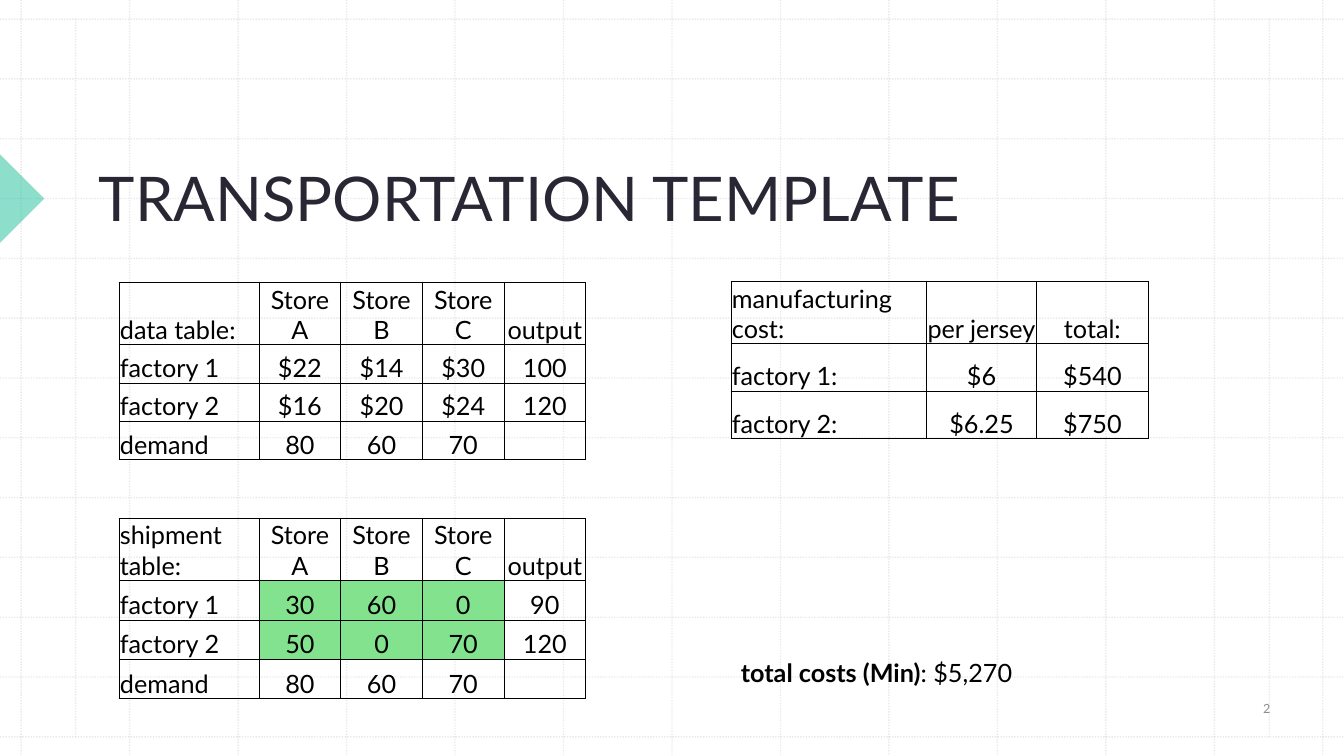
from dataclasses import dataclass

from lxml.etree import SubElement
from pptx import Presentation
from pptx.dml.color import RGBColor as RGB
from pptx.enum.dml import MSO_LINE
from pptx.enum.shapes import MSO_CONNECTOR as Connector, MSO_SHAPE as Shape
from pptx.enum.text import MSO_ANCHOR as Anchor, PP_ALIGN as Align
from pptx.oxml.ns import qn
from pptx.util import Inches, Pt


@dataclass(frozen=True)
class Theme:
    font: str = "Lato"
    title: str = "2A2735"
    ink: str = "000000"
    muted: str = "8C8C8C"
    grid: str = "BCBCBC"
    accent: str = "1EBE9B"
    decision: str = "83E28E"
    title_size: int = 44
    body_size: int = 18
    number_size: int = 9
    grid_width: float = 1
    border_width: float = 0.5


THEME = Theme()
WIDTH, HEIGHT = 13.33, 7.5
STORES = ["Store A", "Store B", "Store C", "output"]
DEMAND = ["demand", "80", "60", "70", ""]
STORE_COLUMNS = [1.39] + [0.81] * 4
HEADER_HEIGHT = 0.62


def set_all(target, values):
    for name, value in values.items():
        setattr(target, name, value)


def set_alpha(fill_parent, percent):
    color = next(fill_parent.iter(qn("a:srgbClr")))
    SubElement(color, qn("a:alpha"), val=str(percent * 1000))


def add_run(paragraph, text, size, color, bold=False):
    run = paragraph.add_run()
    run.text = text
    set_all(run.font, {"name": THEME.font, "size": Pt(size), "bold": bold})
    run.font.color.rgb = RGB.from_string(color)


def add_label(slide, box, parts, size, color, align=Align.LEFT, **frame_format):
    frame = slide.shapes.add_textbox(*map(Inches, box)).text_frame
    set_all(frame, {"word_wrap": True, **frame_format})
    paragraph = frame.paragraphs[0]
    paragraph.alignment = align
    for text, bold in parts:
        add_run(paragraph, text, size, color, bold)


def add_grid_line(slide, *ends):
    line = slide.shapes.add_connector(Connector.STRAIGHT, *map(Inches, ends))
    line.line.color.rgb = RGB.from_string(THEME.grid)
    set_all(line.line, {"width": Pt(THEME.grid_width), "dash_style": MSO_LINE.ROUND_DOT})
    properties = line._element.spPr
    set_alpha(properties, 30)
    SubElement(properties, qn("a:effectLst"))


def add_background(slide, left, top, right, bottom, steps=12):
    # Evenly spaced dotted grid
    for step in range(steps + 1):
        x = left + (right - left) * step / steps
        y = top + (bottom - top) * step / steps
        add_grid_line(slide, x, 0, x, HEIGHT)
        add_grid_line(slide, 0, y, WIDTH, y)
    # Margin guides
    for x in (0.75, 12.59):
        add_grid_line(slide, x, top, x, bottom)


def add_edge_marker(slide, center_y, side):
    # The long side of the triangle lies on the slide's left edge
    box = (-side / 2, center_y - side / 2, side, side)
    marker = slide.shapes.add_shape(Shape.RIGHT_TRIANGLE, *map(Inches, box))
    marker.rotation = 225
    marker.shadow.inherit = False
    marker.fill.solid()
    marker.fill.fore_color.rgb = RGB.from_string(THEME.accent)
    set_alpha(marker._element.spPr, 50)
    marker.line.fill.background()


def add_borders(cell):
    properties = cell._tc.get_or_add_tcPr()
    for side in ("lnL", "lnR", "lnT", "lnB"):
        line = SubElement(properties, qn(f"a:{side}"), w=str(Pt(THEME.border_width)))
        SubElement(SubElement(line, qn("a:solidFill")), qn("a:srgbClr"), val=THEME.ink)


def add_data_table(slide, left, top, columns, row_height, rows, decisions=()):
    height = HEADER_HEIGHT + row_height * (len(rows) - 1)
    box = map(Inches, (left, top, sum(columns), height))
    table = slide.shapes.add_table(len(rows), len(columns), *box).table
    set_all(table, {"first_row": False, "horz_banding": False})
    for column, width in zip(table.columns, columns):
        column.width = Inches(width)

    for r, values in enumerate(rows):
        table.rows[r].height = Inches(row_height if r else HEADER_HEIGHT)
        for c, value in enumerate(values):
            cell = table.cell(r, c)
            add_borders(cell)
            set_all(cell, {
                "vertical_anchor": Anchor.BOTTOM,
                "margin_left": Inches(0.01),
                "margin_right": Inches(0.01),
                "margin_top": Inches(0.01),
                "margin_bottom": 0,
            })
            if (r, c) in decisions:
                cell.fill.solid()
                cell.fill.fore_color.rgb = RGB.from_string(THEME.decision)
            else:
                cell.fill.background()
            paragraph = cell.text_frame.paragraphs[0]
            paragraph.alignment = Align.CENTER if c else Align.LEFT
            if value:
                add_run(paragraph, value, THEME.body_size, THEME.ink)


def build_transportation_slide(slide):
    add_background(slide, 0.21, 0.19, 13.12, 7.31)
    add_edge_marker(slide, 1.97, 0.62)

    # Title
    add_label(slide, (0.76, 0.79, 11.29, 1.58), [("TRANSPORTATION TEMPLATE", False)],
              THEME.title_size, THEME.title,
              vertical_anchor=Anchor.BOTTOM, margin_left=Inches(0.22))

    # Manufacturing costs
    add_data_table(slide, 7.25, 2.79, [1.94, 1.09, 1.11], 0.47, [
        ["manufacturing cost:", "per jersey", "total:"],
        ["factory 1:", "$6", "$540"],
        ["factory 2:", "$6.25", "$750"],
    ])

    # Shipping costs, capacity and demand
    add_data_table(slide, 1.18, 2.8, STORE_COLUMNS, 0.38, [
        ["data table:", *STORES],
        ["factory 1", "$22", "$14", "$30", "100"],
        ["factory 2", "$16", "$20", "$24", "120"],
        DEMAND,
    ])

    # Shipped quantities, with the decision cells highlighted
    add_data_table(slide, 1.18, 5.14, STORE_COLUMNS, 0.39, [
        ["shipment table:", *STORES],
        ["factory 1", "30", "60", "0", "90"],
        ["factory 2", "50", "0", "70", "120"],
        DEMAND,
    ], decisions=[(r, c) for r in (1, 2) for c in (1, 2, 3)])

    # Total and slide number
    add_label(slide, (7.25, 6.47, 4.14, 0.4),
              [("total costs (Min)", True), (": $5,270", False)],
              THEME.body_size, THEME.ink)
    add_label(slide, (12.03, 6.8, 1.07, 0.46), [("2", False)],
              THEME.number_size, THEME.muted, Align.CENTER,
              vertical_anchor=Anchor.MIDDLE)


def main():
    deck = Presentation()
    set_all(deck, {"slide_width": Inches(WIDTH), "slide_height": Inches(HEIGHT)})
    build_transportation_slide(deck.slides.add_slide(deck.slide_layouts[6]))
    deck.save("out.pptx")


if __name__ == "__main__":
    main()
